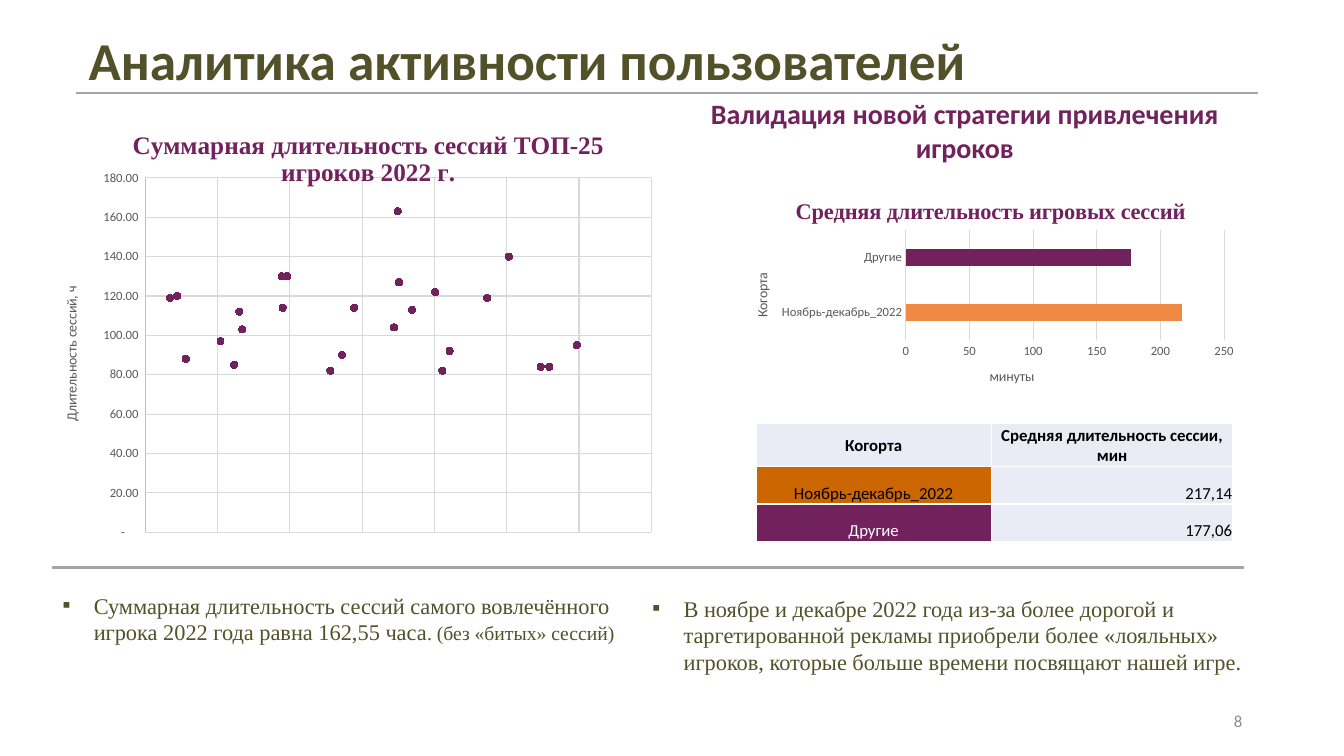
"""Build the user activity analytics slide with two charts, a table and conclusions."""
from dataclasses import dataclass
from typing import Any

import lxml.etree
import pptx
import pptx.chart.data
import pptx.dml.color
import pptx.enum.chart
import pptx.enum.shapes
import pptx.enum.text
import pptx.oxml
import pptx.oxml.ns
import pptx.util

Inches = pptx.util.Inches
Pt = pptx.util.Pt
Align = pptx.enum.text.PP_ALIGN
Anchor = pptx.enum.text.MSO_ANCHOR
ChartType = pptx.enum.chart.XL_CHART_TYPE
qn = pptx.oxml.ns.qn

PLUM, OLIVE, GREY, GRID = "71215C", "525129", "595959", "D9D9D9"
ORANGE, RUST, PALE, BLACK, WHITE = "EF8943", "CC6600", "E9EBF5", "000000", "FFFFFF"
SERIF, SANS = "Times New Roman", "Calibri"

FIRST_PLAYER, PLAYER_STEP = 2880000, 10000
SESSIONS = [
    (3.49, 163), (5.03, 140), (1.89, 130), (1.96, 130), (3.51, 127),
    (4.01, 122), (0.44, 120), (0.34, 119), (4.73, 119), (1.9, 114),
    (2.89, 114), (3.69, 113), (1.3, 112), (3.44, 104), (1.34, 103),
    (1.04, 97), (5.97, 95), (4.21, 92), (2.72, 90), (0.56, 88),
    (1.23, 85), (5.47, 84), (5.59, 84), (2.56, 82), (4.11, 82),
]


@dataclass
class Span:
    """A run of text and its format."""
    text: str
    size: float
    color: str
    name: str = SANS
    bold: bool = False


@dataclass
class Block:
    """A text block with its place and alignment."""
    place: tuple[float, float, float, float]
    spans: list[Span]
    align: Any = Align.LEFT
    anchor: Any = Anchor.TOP
    bullet: bool = False


@dataclass
class Cell:
    """A table cell."""
    span: Span
    fill: str
    align: Any = Align.CENTER
    anchor: Any = Anchor.BOTTOM


def rgb(color: str) -> pptx.dml.color.RGBColor:
    """Turn a hex string into a colour."""
    return pptx.dml.color.RGBColor.from_string(color)


def apply(target: Any, values: dict[str, Any]) -> None:
    """Set every attribute named in a dict."""
    for name, value in values.items():
        setattr(target, name, value)


def set_font(font: Any, span: Span) -> None:
    """Give a font the format of a span."""
    apply(font, {"size": Pt(span.size), "name": span.name, "bold": span.bold})
    font.color.rgb = rgb(span.color)


def fill_paragraph(para: Any, spans: list[Span], align: Any) -> None:
    """Write spans into a paragraph."""
    apply(para, {"alignment": align, "space_before": Pt(0)})
    for span in spans:
        run = para.add_run()
        run.text = span.text
        set_font(run.font, span)


def fill_block(box: Any, block: Block) -> None:
    """Move a text shape and write its block."""
    apply(box, dict(zip(("left", "top", "width", "height"), map(Inches, block.place))))
    frame = box.text_frame
    apply(frame, {"word_wrap": True, "vertical_anchor": block.anchor,
                  "auto_size": pptx.enum.text.MSO_AUTO_SIZE.NONE})
    para = frame.paragraphs[0]
    if block.bullet:
        properties = para._p.get_or_add_pPr()
        properties.set("marL", str(Inches(0.31)))
        properties.set("indent", str(-Inches(0.31)))
        lxml.etree.SubElement(properties, qn("a:buFont")).set("typeface", SANS)
        lxml.etree.SubElement(properties, qn("a:buChar")).set("char", "▪")
    fill_paragraph(para, block.spans, block.align)


def set_line(line: Any, color: str, width: float) -> None:
    """Colour a line and set its width."""
    line.color.rgb = rgb(color)
    line.width = Pt(width)


def add_rule(page: Any, left: float, right: float, top: float) -> None:
    """Draw a horizontal divider."""
    rule = page.shapes.add_connector(pptx.enum.shapes.MSO_CONNECTOR.STRAIGHT,
                                     *map(Inches, (left, top, right, top)))
    set_line(rule.line, "A5A5A5", 1.5)
    lxml.etree.SubElement(rule.element.spPr, qn("a:effectLst"))


def set_layout(element: Any, index: int, **places: float) -> None:
    """Place a chart part by fractions of the chart."""
    for old in element.findall(qn("c:layout")):
        element.remove(old)
    layout = pptx.oxml.parse_xml(f"<c:layout {pptx.oxml.ns.nsdecls('c')}/>")
    manual = lxml.etree.SubElement(layout, qn("c:manualLayout"))
    if "w" in places:
        lxml.etree.SubElement(manual, qn("c:layoutTarget")).set("val", "inner")
    for name in ("x", "y"):
        lxml.etree.SubElement(manual, qn(f"c:{name}Mode")).set("val", "edge")
    for name, value in places.items():
        lxml.etree.SubElement(manual, qn(f"c:{name}")).set("val", str(value))
    element.insert(index, layout)


def set_title(title: Any, span: Span, left: float, top: float) -> None:
    """Write and place a chart or axis title."""
    fill_paragraph(title.text_frame.paragraphs[0], [span], Align.CENTER)
    set_layout(title.element, 1, x=left, y=top)


def add_chart(page: Any, kind: Any, data: Any, place: tuple[float, ...],
              plot: dict[str, float]) -> Any:
    """Add a chart with the shared look."""
    chart = page.shapes.add_chart(kind, *map(Inches, place), data).chart
    apply(chart, {"has_legend": False, "has_title": True})
    set_font(chart.font, Span("", 10, BLACK))
    chart.plots[0].vary_by_categories = False
    set_layout(chart.element.find(".//" + qn("c:plotArea")), 0, **plot)
    for axis in (chart.category_axis, chart.value_axis):
        axis.major_tick_mark = axis.minor_tick_mark = pptx.enum.chart.XL_TICK_MARK.NONE
        set_font(axis.tick_labels.font, Span("", 9, GREY))
    return chart


def add_sessions_chart(page: Any) -> None:
    """Add the scatter of session totals."""
    data = pptx.chart.data.XyChartData()
    points = data.add_series("Series 1")
    for step, hours in SESSIONS:
        points.add_data_point(round(FIRST_PLAYER + step * PLAYER_STEP), hours)
    chart = add_chart(page, ChartType.XY_SCATTER, data, (0.47, 1.11, 6.15, 4.26),
                      {"x": 0.158, "y": 0.154, "w": 0.816, "h": 0.825})
    set_title(chart.chart_title, Span("Суммарная длительность сессий ТОП-25 игроков 2022 г.",
                                      18, PLUM, SERIF, True), 0.13, 0.03)
    players, hours_axis = chart.category_axis, chart.value_axis
    apply(players, {"minimum_scale": FIRST_PLAYER, "major_unit": PLAYER_STEP,
                    "maximum_scale": FIRST_PLAYER + 7 * PLAYER_STEP, "visible": False})
    apply(hours_axis, {"minimum_scale": 0, "maximum_scale": 180, "major_unit": 20})
    apply(hours_axis.tick_labels, {
        "number_format": '_-* #,##0.00_-;-* #,##0.00_-;_-* "-"??_-;_-@_-',
        "number_format_is_linked": False})
    for axis in (players, hours_axis):
        axis.has_major_gridlines = True
        set_line(axis.major_gridlines.format.line, GRID, 0.75)
    set_line(hours_axis.format.line, "BFBFBF", 0.75)
    set_title(hours_axis.axis_title, Span("Длительность сессий, ч", 10, GREY), 0.02, 0.4)
    series = chart.plots[0].series[0]
    series.format.line.fill.background()
    apply(series.marker, {"style": pptx.enum.chart.XL_MARKER_STYLE.CIRCLE, "size": 5})
    series.marker.format.fill.solid()
    series.marker.format.fill.fore_color.rgb = rgb(PLUM)
    set_line(series.marker.format.line, PLUM, 0.75)


def add_cohort_chart(page: Any) -> None:
    """Add the bars of mean session length."""
    data = pptx.chart.data.CategoryChartData()
    data.categories = ["Ноябрь-декабрь_2022", "Другие"]
    data.add_series("Series 1", (217, 177))
    chart = add_chart(page, ChartType.BAR_CLUSTERED, data, (7.24, 1.76, 5.1, 2.24),
                      {"x": 0.342, "y": 0.233, "w": 0.619, "h": 0.487})
    set_title(chart.chart_title, Span("Средняя длительность игровых сессий",
                                      16, PLUM, SERIF, True), 0.12, 0.07)
    cohorts, minutes = chart.category_axis, chart.value_axis
    set_title(cohorts.axis_title, Span("Когорта", 10, GREY), 0.04, 0.41)
    set_title(minutes.axis_title, Span("минуты", 10, GREY), 0.5, 0.83)
    set_line(cohorts.format.line, GRID, 0.75)
    apply(minutes, {"minimum_scale": 0, "maximum_scale": 250, "major_unit": 50})
    minutes.format.line.fill.background()
    set_line(minutes.major_gridlines.format.line, GRID, 0.75)
    chart.plots[0].gap_width = 219
    for index, color in enumerate((ORANGE, PLUM)):
        fill = chart.plots[0].series[0].points[index].format.fill
        fill.solid()
        fill.fore_color.rgb = rgb(color)


def add_cohort_table(page: Any) -> None:
    """Add the table of mean session length."""
    rows = [[Cell(Span(text, 12, BLACK, bold=True), PALE, anchor=Anchor.MIDDLE)
             for text in ("Когорта", "Средняя длительность сессии, мин")]]
    for cohort, value, color, fill in (("Ноябрь-декабрь_2022", "217,14", BLACK, RUST),
                                       ("Другие", "177,06", WHITE, PLUM)):
        rows.append([Cell(Span(cohort, 12, color), fill),
                     Cell(Span(value, 12, BLACK), PALE, Align.RIGHT)])
    table = page.shapes.add_table(3, 2, *map(Inches, (7.5, 4.2, 4.73, 1.16))).table
    apply(table, {"first_row": False, "horz_banding": False})
    for column, width in zip(table.columns, (2.33, 2.4)):
        column.width = Inches(width)
    for row, height, cells in zip(table.rows, (0.43, 0.37, 0.37), rows):
        row.height = Inches(height)
        for target, cell in zip(row.cells, cells):
            apply(target, {"vertical_anchor": cell.anchor, "margin_bottom": 0})
            apply(target, dict.fromkeys(("margin_left", "margin_right", "margin_top"), Inches(0.01)))
            fill_paragraph(target.text_frame.paragraphs[0], [cell.span], cell.align)
            properties = target._tc.get_or_add_tcPr()
            for side in ("lnL", "lnR", "lnT", "lnB"):
                border = lxml.etree.SubElement(properties, qn(f"a:{side}"), w=str(Pt(1)))
                paint = lxml.etree.SubElement(border, qn("a:solidFill"))
                lxml.etree.SubElement(paint, qn("a:srgbClr"), val=WHITE)
            target.fill.solid()
            target.fill.fore_color.rgb = rgb(cell.fill)


def main() -> None:
    """Build and save the deck."""
    deck = pptx.Presentation()
    apply(deck, {"slide_width": Inches(13.33), "slide_height": Inches(7.5)})
    page = deck.slides.add_slide(deck.slide_layouts[3])
    add_rule(page, 0.75, 12.48, 0.92)
    add_rule(page, 0.52, 12.34, 5.63)
    blocks = [
        Block((0.78, 0.22, 10.45, 0.74),
              [Span("Аналитика активности пользователей", 38, OLIVE, bold=True)]),
        Block((0.52, 5.82, 6.05, 0.64), [
            Span("Суммарная длительность сессий самого вовлечённого игрока 2022 года "
                 "равна 162,55 часа", 16, OLIVE, SERIF),
            Span(". (без «битых» сессий)", 14, OLIVE, SERIF)], bullet=True),
        Block((6.37, 5.85, 6.05, 1.18), [
            Span("В ноябре и декабре 2022 года из-за более дорогой и таргетированной рекламы "
                 "приобрели более «лояльных» игроков, которые больше времени посвящают "
                 "нашей игре.", 16, OLIVE, SERIF)], bullet=True),
        Block((9.42, 6.95, 3, 0.4), [Span("8", 12, "8C8C8C")], Align.RIGHT, Anchor.MIDDLE),
        Block((6.62, 0.91, 5.9, 0.77), [Span("Валидация новой стратегии привлечения игроков",
                                            20, PLUM, bold=True)], Align.CENTER),
    ]
    boxes = list(page.placeholders)
    boxes += [page.shapes.add_textbox(0, 0, 0, 0) for _ in blocks[len(boxes):]]
    for box, block in zip(boxes, blocks):
        fill_block(box, block)
    add_sessions_chart(page)
    add_cohort_table(page)
    add_cohort_chart(page)
    deck.save("out.pptx")


if __name__ == "__main__":
    main()
